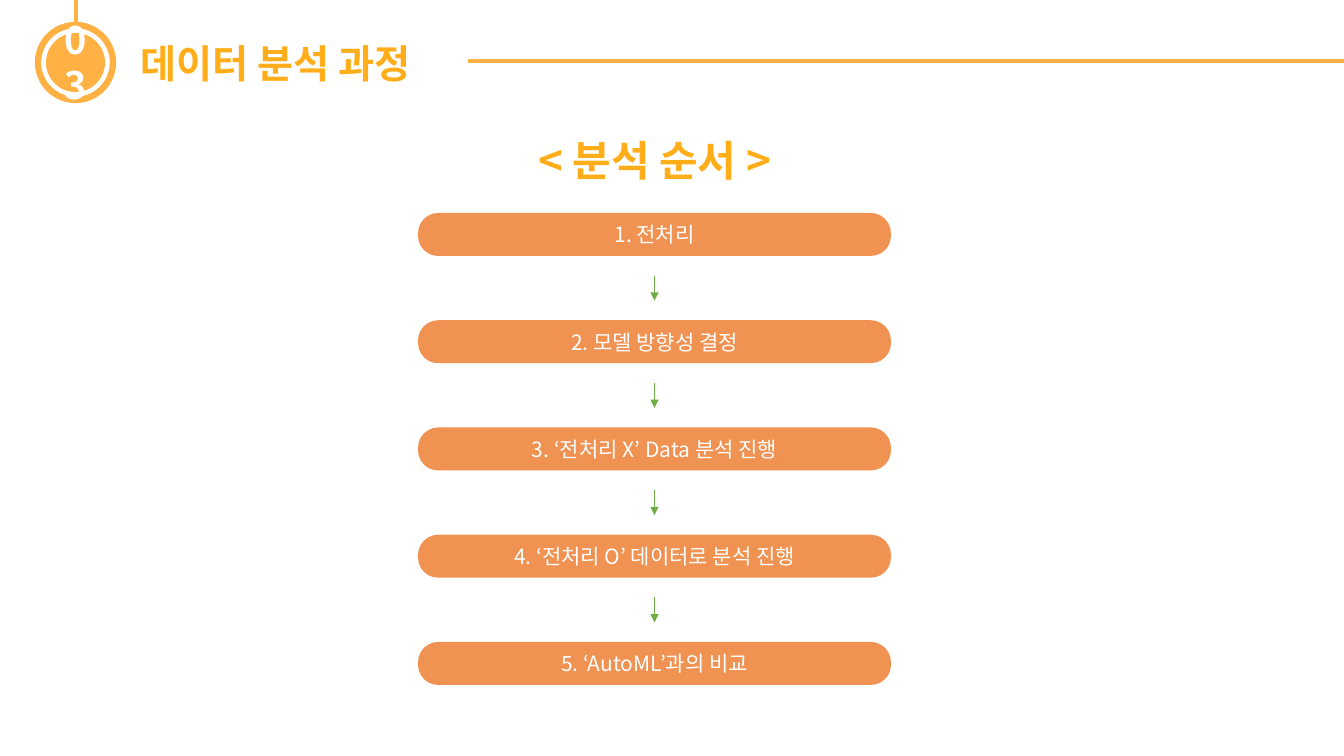
from lxml import etree
from pptx import Presentation
from pptx import util as u
from pptx.dml.color import RGBColor
from pptx.enum import shapes, text
from pptx.oxml.ns import qn

FONT = "Noto Sans CJK KR"
TITLE, AMBER, ORANGE, GREEN, WHITE = "FFAD19", "FFB143", "F09252", "70AD47", "FFFFFF"

SLIDE_SIZE = (1344, 756)
LABELS = [
    ("데이터 분석 과정", (131, 34, 326, 57), 28, TITLE, text.PP_ALIGN.LEFT),
    ("03", (44, 34, 64, 56), 27, WHITE, text.PP_ALIGN.CENTER),
    ("< 분석 순서 >", (507, 129, 295, 61), 30, TITLE, text.PP_ALIGN.CENTER),
]
BADGE = [
    ((38, 25, 75, 75), WHITE, AMBER),
    ((46, 33, 59, 59), AMBER, None),
]
RULES = [((76, 0), (76, 25)), ((1344, 61), (468, 61))]
STEPS = [
    "1. 전처리",
    "2. 모델 방향성 결정",
    "3. ‘전처리 X’ Data 분석 진행",
    "4. ‘전처리 O’ 데이터로 분석 진행",
    "5. ‘AutoML’과의 비교",
]
STEP_LEFT, STEP_WIDTH, STEP_HEIGHT = 418, 473, 43
FIRST_TOP, LAST_TOP = 213, 642
ARROW_LENGTH = 25


def px(value):
    return round(value * 914400 / 100.8)


def colour(value):
    return RGBColor.from_string(value)


def apply(target, values):
    for name, value in values.items():
        setattr(target, name, value)


def write(box, words, size, shade, align, bold):
    apply(box.text_frame, {
        "word_wrap": True,
        "vertical_anchor": text.MSO_ANCHOR.MIDDLE,
    })
    para = box.text_frame.paragraphs[0]
    para.alignment = align
    span = para.add_run()
    span.text = words
    apply(span.font, {"name": FONT, "size": u.Pt(size), "bold": bold})
    span.font.color.rgb = colour(shade)
    etree.SubElement(span.font._element, qn("a:ea"), typeface=FONT)


def add_label(page, words, area, size, shade, align):
    box = page.shapes.add_textbox(*map(px, area))
    write(box, words, size, shade, align, True)
    box.text_frame.auto_size = text.MSO_AUTO_SIZE.SHAPE_TO_FIT_TEXT


def add_solid(parent, kind, area, fill, outline=None):
    solid = parent.add_shape(kind, *map(px, area))
    solid.shadow.inherit = False
    solid.fill.solid()
    solid.fill.fore_color.rgb = colour(fill)
    if outline:
        solid.line.color.rgb = colour(outline)
        solid.line.width = u.Pt(4.5)
    else:
        solid.line.fill.background()
    return solid


def add_line(page, start, end, shade, width, arrow=False):
    line = page.shapes.add_connector(
        shapes.MSO_CONNECTOR.STRAIGHT, *map(px, (*start, *end)))
    line.line.color.rgb = colour(shade)
    line.line.width = u.Pt(width)
    if arrow:
        etree.SubElement(line.line._get_or_add_ln(), qn("a:tailEnd"), type="triangle")
    etree.SubElement(line._element.spPr, qn("a:effectLst"))


def main():
    deck = Presentation()
    deck.slide_width, deck.slide_height = map(px, SLIDE_SIZE)
    page = deck.slides.add_slide(deck.slide_layouts[6])

    badge = page.shapes.add_group_shape()
    for area, fill, outline in BADGE:
        add_solid(badge.shapes, shapes.MSO_SHAPE.OVAL, area, fill, outline)
    for start, end in RULES:
        add_line(page, start, end, AMBER, 3)
    for label in LABELS:
        add_label(page, *label)

    pitch = (LAST_TOP - FIRST_TOP) / (len(STEPS) - 1)
    middle = STEP_LEFT + STEP_WIDTH / 2
    arrow_offset = (pitch + STEP_HEIGHT - ARROW_LENGTH) / 2
    for index, words in enumerate(STEPS):
        top = FIRST_TOP + index * pitch
        step = add_solid(page.shapes, shapes.MSO_SHAPE.ROUNDED_RECTANGLE,
                         (STEP_LEFT, top, STEP_WIDTH, STEP_HEIGHT), ORANGE)
        step.adjustments[0] = 0.47
        write(step, words, 15, WHITE, text.PP_ALIGN.CENTER, False)
        if index < len(STEPS) - 1:
            start = top + arrow_offset
            add_line(page, (middle, start), (middle, start + ARROW_LENGTH),
                     GREEN, 0.75, True)

    deck.save("out.pptx")


if __name__ == "__main__":
    main()
